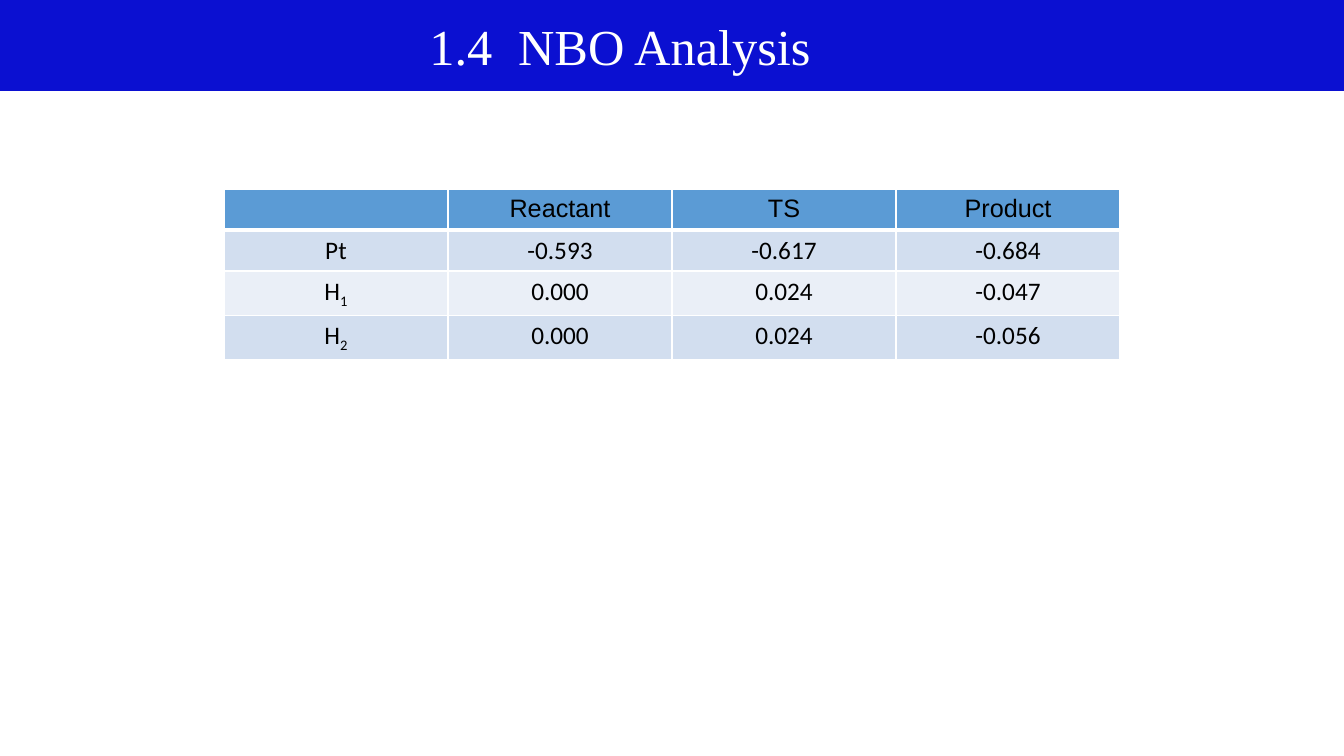
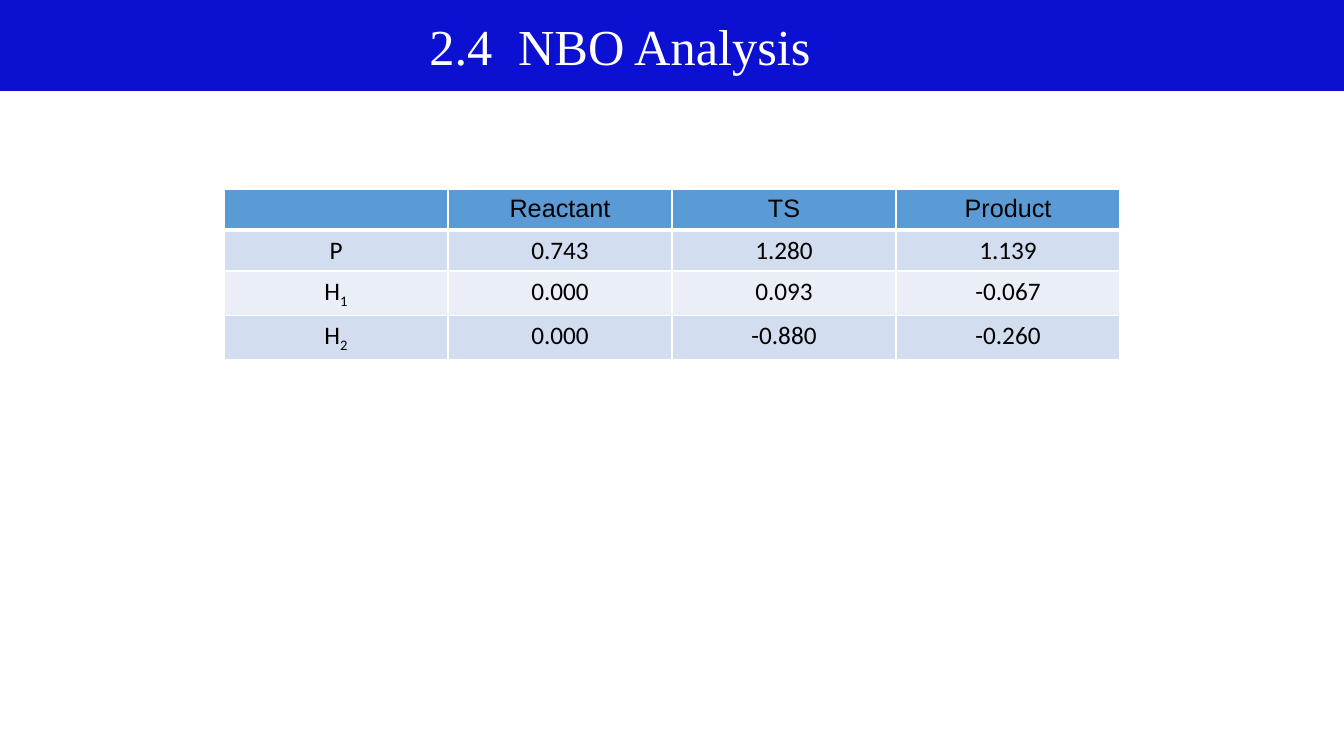
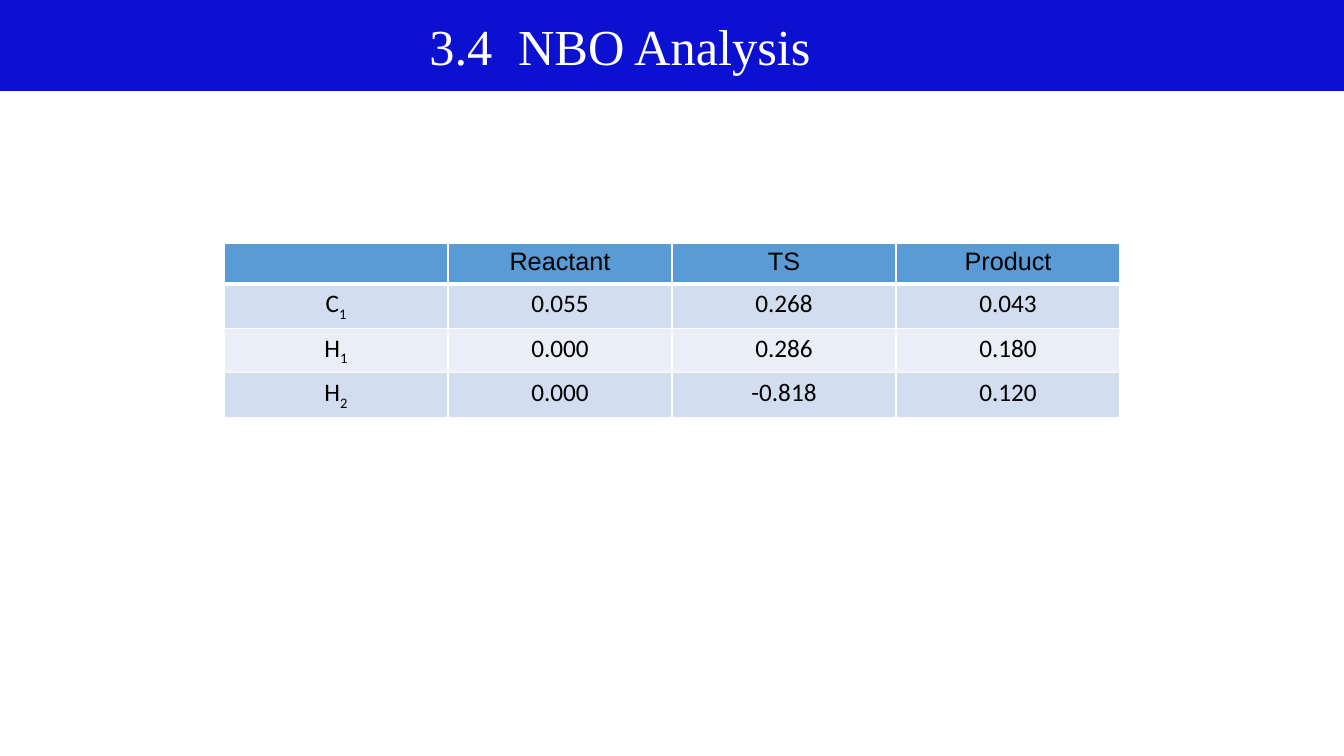
from dataclasses import dataclass

from lxml.etree import SubElement
from pptx import Presentation
from pptx.dml.color import RGBColor
from pptx.enum.shapes import MSO_SHAPE
from pptx.enum.text import MSO_AUTO_SIZE, PP_ALIGN
from pptx.oxml.ns import qn
from pptx.util import Inches, Pt


@dataclass(frozen=True)
class Theme:
    band: str = "0B10D1"
    head: str = "5B9BD5"
    odd: str = "D2DEEF"
    even: str = "EAEFF7"
    white: str = "FFFFFF"
    black: str = "000000"
    title_font: str = "Times New Roman"
    head_font: str = "Arial"
    body_font: str = "Calibri"
    title_size: int = 36
    cell_size: int = 18
    rule: int = 1
    head_rule: int = 3


THEME = Theme()
WIDE, HIGH = Inches(13.33), Inches(7.5)
HEADS = ["", "Reactant", "TS", "Product"]
# Section number, top of the table, rows; an underscore starts a subscript.
PAGES = [
    ("1.4", 1.88, [
        ["Pt", "-0.593", "-0.617", "-0.684"],
        ["H_1", "0.000", "0.024", "-0.047"],
        ["H_2", "0.000", "0.024", "-0.056"],
    ]),
    ("2.4", 1.88, [
        ["P", "0.743", "1.280", "1.139"],
        ["H_1", "0.000", "0.093", "-0.067"],
        ["H_2", "0.000", "-0.880", "-0.260"],
    ]),
    ("3.4", 2.41, [
        ["C_1", "0.055", "0.268", "0.043"],
        ["H_1", "0.000", "0.286", "0.180"],
        ["H_2", "0.000", "-0.818", "0.120"],
    ]),
]


def paint(fill, color):
    fill.solid()
    fill.fore_color.rgb = RGBColor.from_string(color)


def style(font, name, size, color):
    font.name, font.size, font.bold = name, Pt(size), False
    font.color.rgb = RGBColor.from_string(color)


def add_band(slide, left, top, width, height, number):
    """Draw the title band, with the heading placed inside it."""
    band = slide.shapes.add_shape(MSO_SHAPE.RECTANGLE, left, top, width, height)
    band.shadow.inherit = False
    paint(band.fill, THEME.band)
    paint(band.line.fill, THEME.band)
    band.line.width = Pt(THEME.rule)

    box = slide.shapes.add_textbox(
        left + Inches(4.16), top + Inches(0.09), Inches(4.22), Inches(0.71))
    frame = box.text_frame
    frame.word_wrap = True
    frame.auto_size = MSO_AUTO_SIZE.SHAPE_TO_FIT_TEXT
    line = frame.paragraphs[0]
    line.text = f"{number}\tNBO Analysis"
    tabs = SubElement(line._p.get_or_add_pPr(), qn("a:tabLst"))
    SubElement(tabs, qn("a:tab"), pos=str(Inches(0.88)), algn="l")
    style(line.font, THEME.title_font, THEME.title_size, THEME.white)


def add_rules(cell, top, bottom):
    """Give a cell white borders; top and bottom are widths in points."""
    props = cell._tc.get_or_add_tcPr()
    sides = {"lnL": THEME.rule, "lnR": THEME.rule, "lnT": top, "lnB": bottom}
    for side, width in sides.items():
        rule = SubElement(props, qn(f"a:{side}"), w=str(Pt(width)))
        solid = SubElement(rule, qn("a:solidFill"))
        SubElement(solid, qn("a:srgbClr"), val=THEME.white)


def fill_cell(cell, text, font, color):
    paint(cell.fill, color)
    line = cell.text_frame.paragraphs[0]
    line.alignment = PP_ALIGN.CENTER
    style(line.font, font, THEME.cell_size, THEME.black)
    base, _, sub = text.partition("_")
    if base:
        line.add_run().text = base
    if sub:
        run = line.add_run()
        run.text = sub
        run._r.get_or_add_rPr().set("baseline", "-25000")


def add_grid(slide, left, top, width, height, rows):
    """Draw the table of charges with equal rows and columns."""
    grid = slide.shapes.add_table(
        len(rows) + 1, len(HEADS), left, top, width, height).table
    grid.first_row = grid.horz_banding = False
    for r, texts in enumerate([HEADS, *rows]):
        font = THEME.body_font if r else THEME.head_font
        color = (THEME.odd if r % 2 else THEME.even) if r else THEME.head
        above = THEME.head_rule if r == 1 else THEME.rule
        below = THEME.rule if r else THEME.head_rule
        for c, text in enumerate(texts):
            cell = grid.cell(r, c)
            add_rules(cell, above, below)
            fill_cell(cell, text, font, color)


def main():
    deck = Presentation()
    deck.slide_width, deck.slide_height = WIDE, HIGH
    for number, top, rows in PAGES:
        slide = deck.slides.add_slide(deck.slide_layouts[6])
        add_band(slide, 0, Inches(0.01), WIDE, Inches(0.89), number)
        add_grid(slide, WIDE // 6, Inches(top), WIDE * 2 // 3, Inches(1.62), rows)
    deck.save("out.pptx")


if __name__ == "__main__":
    main()
